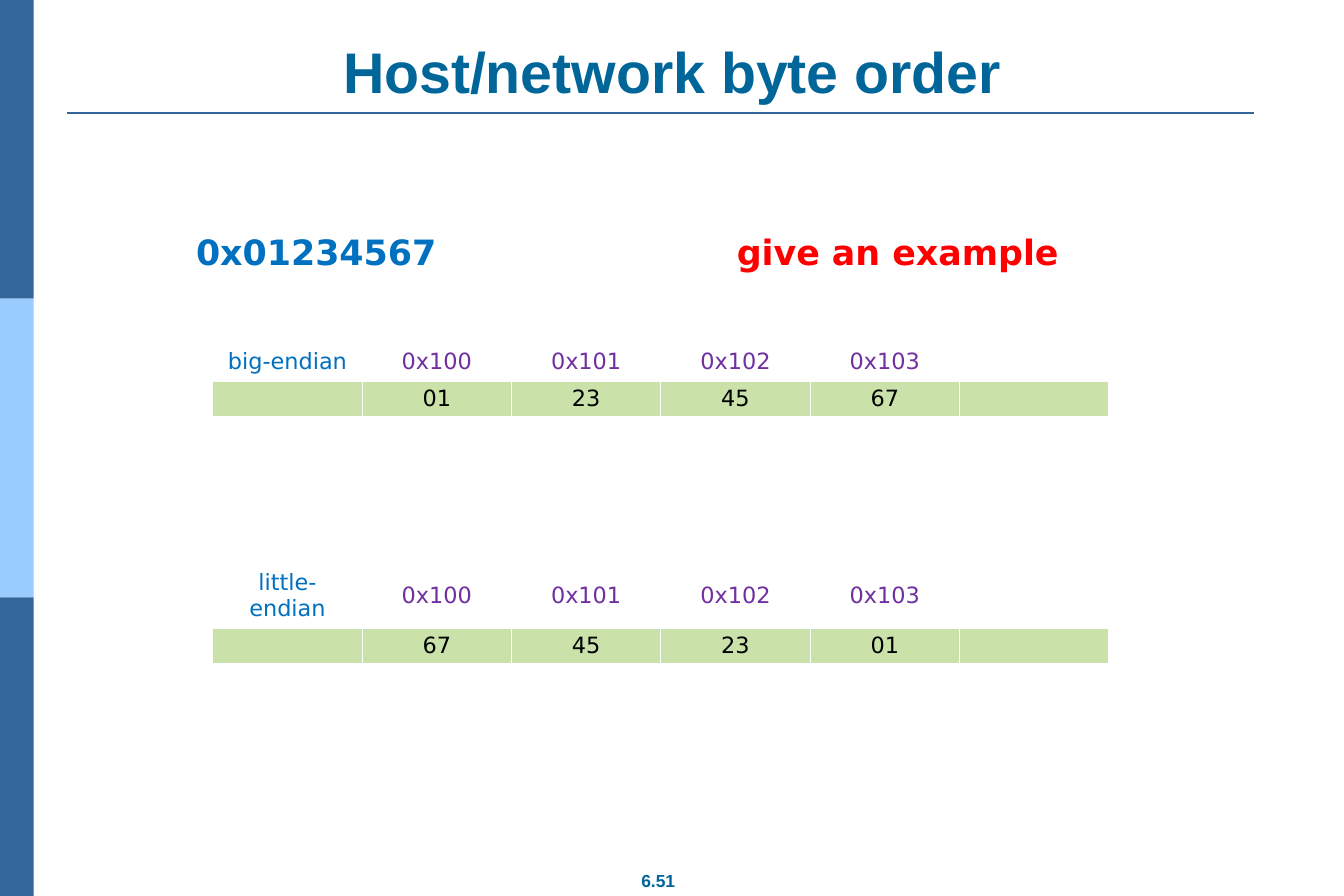
from pptx import Presentation
from pptx.dml.color import RGBColor
from pptx.enum.shapes import MSO_CONNECTOR, MSO_SHAPE
from pptx.enum.text import MSO_ANCHOR, MSO_AUTO_SIZE, PP_ALIGN
from pptx.oxml.ns import qn
from pptx.util import Pt
from lxml.etree import SubElement

NAVY = RGBColor(0x33, 0x66, 0x99)
SKY = RGBColor(0x99, 0xCC, 0xFF)
TEAL = RGBColor(0x00, 0x66, 0x99)
BLUE = RGBColor(0x00, 0x70, 0xC0)
RED = RGBColor(0xFF, 0x00, 0x00)
PURPLE = RGBColor(0x70, 0x30, 0xA0)
BLACK = RGBColor(0x00, 0x00, 0x00)
WHITE = RGBColor(0xFF, 0xFF, 0xFF)
GREEN = RGBColor(0xCA, 0xE2, 0xAA)

WIDTH, HEIGHT = 1080, 720
ADDRESSES = ["0x100", "0x101", "0x102", "0x103"]
BYTES = ["01", "23", "45", "67"]


class ByteOrderSlide:
    heading_font = "Arial"
    body_font = "DejaVu Sans"

    def __init__(self, deck):
        self.slide = deck.slides.add_slide(deck.slide_layouts[5])
        self.shapes = self.slide.shapes

    def style(self, font, name, size, color, bold=False):
        font.name, font.size, font.bold = name, Pt(size), bold
        font.color.rgb = color

    def band(self, top, height, color):
        band = self.shapes.add_shape(MSO_SHAPE.RECTANGLE, 0, Pt(top), Pt(27), Pt(height))
        band.shadow.inherit = False
        band.fill.solid()
        band.fill.fore_color.rgb = color
        band.line.fill.background()

    def rule(self, left, right, y):
        rule = self.shapes.add_connector(
            MSO_CONNECTOR.STRAIGHT, Pt(left), Pt(y), Pt(right), Pt(y))
        rule.line.color.rgb = NAVY
        rule.line.width = Pt(1.5)
        SubElement(rule._element.spPr, qn("a:effectLst"))

    def heading(self, box, text, size):
        """Fill a title or page number box with centred bold text."""
        frame = box.text_frame
        frame.margin_left = frame.margin_right = Pt(10)
        frame.margin_top = frame.margin_bottom = Pt(5)
        para = frame.paragraphs[0]
        para.text = text
        para.alignment = PP_ALIGN.CENTER
        self.style(para.font, self.heading_font, size, TEAL, True)
        return frame

    def title(self, text):
        box = self.shapes.title
        box.left, box.top, box.width, box.height = Pt(54), Pt(28.8), Pt(972), Pt(60.5)
        frame = self.heading(box, text, 46)
        frame.auto_size = MSO_AUTO_SIZE.NONE
        frame.vertical_anchor = MSO_ANCHOR.BOTTOM

    def page_number(self, text):
        box = self.shapes.add_textbox(Pt(504), Pt(694), Pt(50), Pt(27))
        self.heading(box, text, 14).word_wrap = False

    def tabbed_line(self, left, top, width, tab, parts):
        """Write coloured parts on one line, set apart by a tab stop."""
        box = self.shapes.add_textbox(Pt(left), Pt(top), Pt(width), Pt(41))
        box.text_frame.word_wrap = True
        para = box.text_frame.paragraphs[0]
        for index, (text, color) in enumerate(parts):
            span = para.add_run()
            span.text = "\t" + text if index else text
            self.style(span.font, self.body_font, 28, color, True)
        stops = SubElement(para._p.get_or_add_pPr(), qn("a:tabLst"))
        SubElement(stops, qn("a:tab"), pos=str(Pt(tab)), algn="l")

    def borders(self, cell, bottom, top):
        properties = cell._tc.get_or_add_tcPr()
        for side, width in (("L", 1), ("R", 1), ("T", top), ("B", bottom)):
            line = SubElement(properties, qn("a:ln" + side), w=str(Pt(width)))
            fill = SubElement(line, qn("a:solidFill"))
            SubElement(fill, qn("a:srgbClr"), val=str(WHITE))

    def memory_table(self, top, label, values):
        """Show addresses in the first row and the bytes stored there below."""
        rows = [[label, *ADDRESSES, ""], ["", *values, ""]]
        frame = self.shapes.add_table(2, 6, Pt(171), Pt(top), Pt(720), Pt(59))
        table = frame.table
        table.first_row = table.horz_banding = False
        for row, texts in enumerate(rows):
            for column, text in enumerate(texts):
                cell = table.cell(row, column)
                cell.vertical_anchor = MSO_ANCHOR.MIDDLE
                if row == 0:
                    self.borders(cell, bottom=3, top=1)
                    cell.fill.background()
                    color = PURPLE if column else BLUE
                else:
                    self.borders(cell, bottom=1, top=3)
                    cell.fill.solid()
                    cell.fill.fore_color.rgb = GREEN
                    color = BLACK
                para = cell.text_frame.paragraphs[0]
                para.text = text
                para.alignment = PP_ALIGN.CENTER
                self.style(para.font, self.body_font, 18, color)


def main():
    deck = Presentation()
    deck.slide_width, deck.slide_height = Pt(WIDTH), Pt(HEIGHT)
    page = ByteOrderSlide(deck)
    for index, color in enumerate((NAVY, SKY, NAVY)):
        page.band(index * HEIGHT / 3, HEIGHT / 3, color)
    page.rule(54, 1008, 90.5)
    page.page_number("6.51")
    page.title("Host/network byte order")
    page.tabbed_line(150.5, 181.5, 853, 434.5,
                     [("0x01234567", BLUE), ("give an example", RED)])
    page.memory_table(275.8, "big-endian", BYTES)
    page.memory_table(453.6, "little-endian", BYTES[::-1])
    deck.save("out.pptx")


if __name__ == "__main__":
    main()
